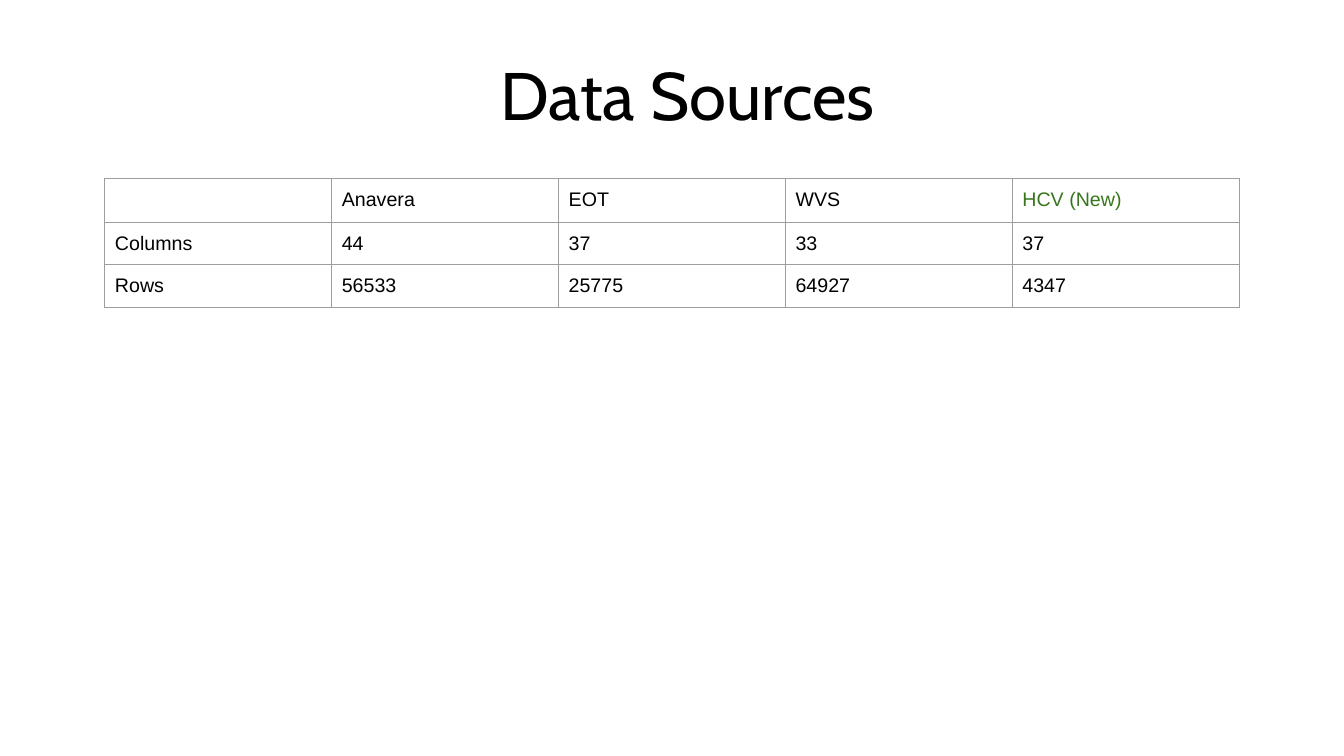
"""Build the Data Sources slide: a title above a table of source sizes."""
from dataclasses import dataclass

from lxml.etree import SubElement
from pptx import Presentation
from pptx.dml.color import RGBColor
from pptx.enum.text import MSO_ANCHOR, PP_ALIGN
from pptx.oxml.ns import qn
from pptx.util import Inches, Pt


@dataclass(frozen=True)
class Theme:
    background: str = "FFFFFF"
    ink: str = "000000"
    new: str = "38761D"
    border: str = "9E9E9E"
    border_width: float = 0.75
    title_font: str = "Cabin"
    body_font: str = "Arial"
    title_size: int = 48
    body_size: int = 14
    inset: float = 0.1


@dataclass(frozen=True)
class Source:
    name: str
    columns: str
    rows: str
    color: str


THEME = Theme()
SOURCES = [
    Source("Anavera", "44", "56533", THEME.ink),
    Source("EOT", "37", "25775", THEME.ink),
    Source("WVS", "33", "64927", THEME.ink),
    Source("HCV (New)", "37", "4347", THEME.new),
]
COLUMN_WIDTH, ROW_HEIGHT = 2.25, 0.42


def write(p, text: str, *, size: int, font: str, color: str = THEME.ink,
          align: PP_ALIGN = PP_ALIGN.LEFT) -> None:
    p.alignment = align
    if not text:
        SubElement(p._p, qn("a:endParaRPr"), sz=str(size * 100))
        return
    r = p.add_run()
    r.text = text
    r.font.size, r.font.name, r.font.bold = Pt(size), font, False
    r.font.color.rgb = RGBColor.from_string(color)


def set_insets(box) -> None:
    for side in ("left", "top", "right", "bottom"):
        setattr(box, f"margin_{side}", Inches(THEME.inset))
    box.vertical_anchor = MSO_ANCHOR.TOP


def add_borders(cell) -> None:
    tcPr = cell._tc.get_or_add_tcPr()
    for side in ("lnL", "lnR", "lnT", "lnB"):
        ln = SubElement(tcPr, qn(f"a:{side}"), w=str(Pt(THEME.border_width)))
        fill = SubElement(ln, qn("a:solidFill"))
        SubElement(fill, qn("a:srgbClr"), val=THEME.border)


def add_title(slide, text: str) -> None:
    sp = slide.shapes.title
    sp.left, sp.top = Inches(0.97), Inches(0.43)
    sp.width, sp.height = Inches(11.7), Inches(1.9)
    tf = sp.text_frame
    tf.word_wrap = True
    set_insets(tf)
    write(tf.paragraphs[0], text, size=THEME.title_size,
          font=THEME.title_font, align=PP_ALIGN.CENTER)


def add_source_table(slide, sources: list[Source]) -> None:
    ink = THEME.ink
    grid = [
        [("", ink)] + [(s.name, s.color) for s in sources],
        [("Columns", ink)] + [(s.columns, ink) for s in sources],
        [("Rows", ink)] + [(s.rows, ink) for s in sources],
    ]
    n_rows, n_cols = len(grid), len(grid[0])
    table = slide.shapes.add_table(
        n_rows, n_cols, Inches(1.04), Inches(1.77),
        Inches(COLUMN_WIDTH * n_cols), Inches(ROW_HEIGHT * n_rows)).table
    table.first_row = table.horz_banding = False
    for column in table.columns:
        column.width = Inches(COLUMN_WIDTH)
    for row, values in zip(table.rows, grid):
        row.height = Inches(ROW_HEIGHT)
        for cell, (text, color) in zip(row.cells, values):
            set_insets(cell)
            add_borders(cell)
            cell.fill.background()
            write(cell.text_frame.paragraphs[0], text, size=THEME.body_size,
                  font=THEME.body_font, color=color)


def main() -> None:
    prs = Presentation()
    prs.slide_width, prs.slide_height = Inches(13.33), Inches(7.5)
    slide = prs.slides.add_slide(prs.slide_layouts.get_by_name("Title Only"))
    fill = slide.background.fill
    fill.solid()
    fill.fore_color.rgb = RGBColor.from_string(THEME.background)
    add_title(slide, "Data Sources")
    add_source_table(slide, SOURCES)
    prs.save("out.pptx")


if __name__ == "__main__":
    main()
